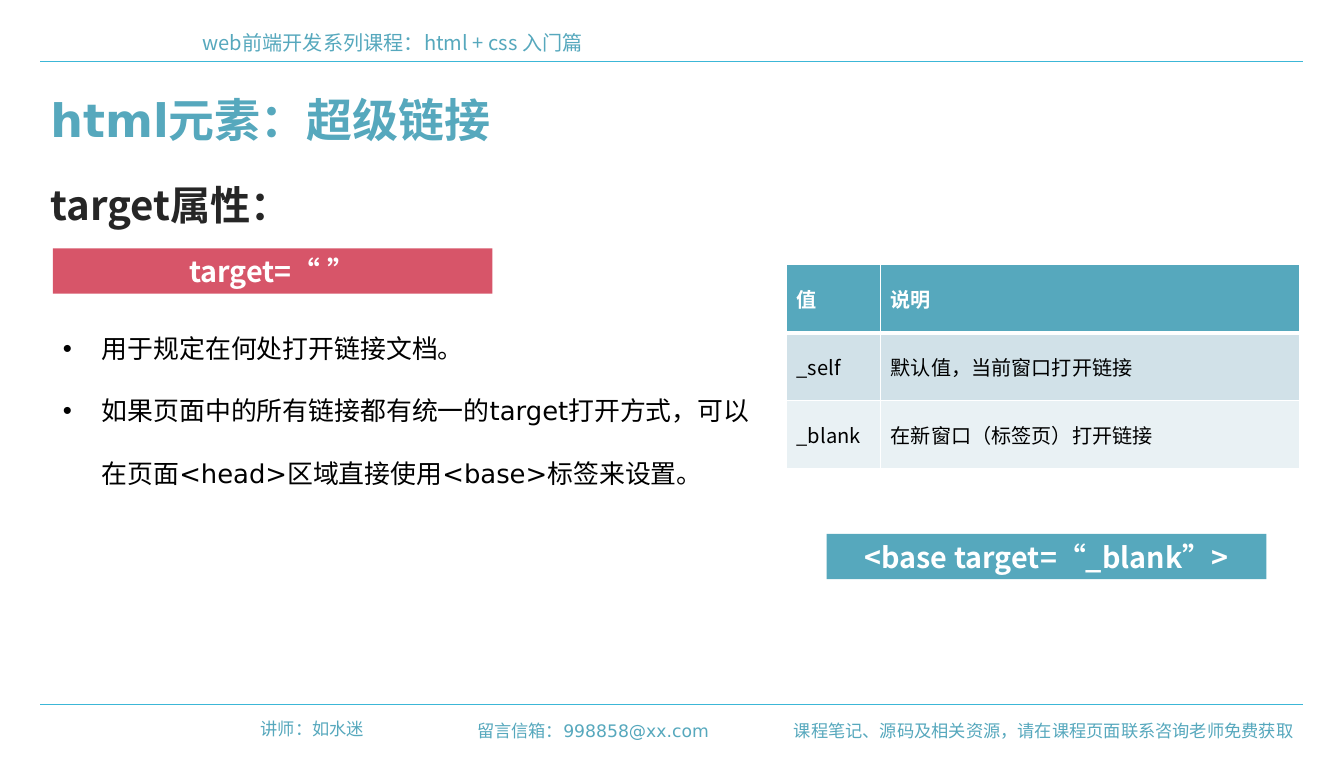
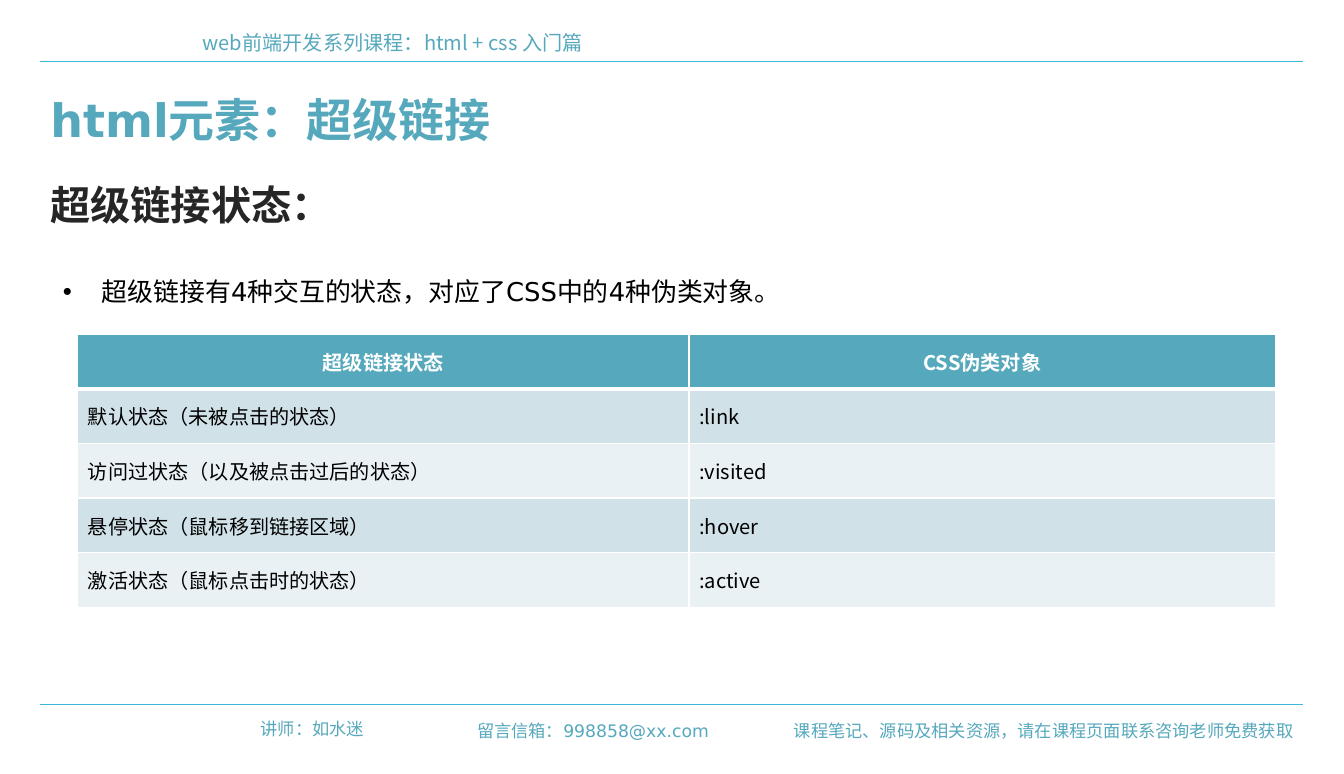
from dataclasses import dataclass
from typing import Optional

from lxml import etree
from pptx import Presentation
from pptx.dml.color import RGBColor
from pptx.enum import shapes, text
from pptx.oxml import ns
from pptx.util import Pt

TEAL = RGBColor(0x56, 0xA8, 0xBD)
RULE = RGBColor(0x3C, 0xB7, 0xD7)
RED = RGBColor(0xD7, 0x55, 0x69)
INK = RGBColor(0x26, 0x26, 0x26)
BLACK = RGBColor(0, 0, 0)
WHITE = RGBColor(0xFF, 0xFF, 0xFF)
STRIPES = (RGBColor(0xD1, 0xE1, 0xE8), RGBColor(0xE9, 0xF1, 0xF4))
NOTO, DEJAVU = "Noto Sans CJK SC", "DejaVu Sans"
LEFT, CENTER, RIGHT = (text.PP_ALIGN.LEFT, text.PP_ALIGN.CENTER,
                       text.PP_ALIGN.RIGHT)
RULE_LEFT, RULE_RIGHT, RULE_TOPS = 28, 907, (42.5, 490.5)
BULLET_INDENT = 27


@dataclass(frozen=True)
class Style:
    """Character and alignment format of a text."""
    size: float
    color: RGBColor
    name: str = NOTO
    bold: bool = False
    align: text.PP_ALIGN = LEFT


@dataclass(frozen=True)
class Label:
    """A single-line text with its box; a fill makes it a band."""
    words: str
    left: float
    top: float
    width: float
    height: float
    style: Style
    fill: Optional[RGBColor] = None


@dataclass(frozen=True)
class Grid:
    """A table with a header row and striped body rows."""
    left: float
    top: float
    col_widths: tuple
    row_height: float
    rows: tuple
    head_align: text.PP_ALIGN = LEFT


HEADING = Style(28, INK, bold=True)
BAND = Style(20, WHITE, bold=True, align=CENTER)
FOOTER = Style(12, TEAL, DEJAVU, align=RIGHT)
BODY = Style(18, BLACK, DEJAVU)
CELL = Style(14, BLACK)

FRAME = (
    Label("web前端开发系列课程：html + css 入门篇", 134, 17, 757, 24.5,
          Style(14, TEAL)),
    Label("讲师：如水迷", 161, 496, 99.5, 21.6, FOOTER),
    Label("课程笔记、源码及相关资源，请在课程页面联系咨询老师免费获取",
          541.5, 497.5, 366, 21.6, FOOTER),
    Label("留言信箱：998858@xx.com", 309, 497.5, 191.5, 21.6, FOOTER),
    Label("html元素：超级链接", 28, 60, 878.5, 46,
          Style(32, TEAL, DEJAVU, bold=True)),
)


def write(p, words: str, style: Style) -> None:
    """Put one formatted run into a paragraph."""
    p.alignment = style.align
    r = p.add_run()
    r.text = words
    values = {"size": Pt(style.size), "name": style.name, "bold": style.bold}
    for key, value in values.items():
        setattr(r.font, key, value)
    r.font.color.rgb = style.color
    rpr = r.font._element
    rpr.set("lang", "zh-CN")
    etree.SubElement(rpr, ns.qn("a:ea")).set("typeface", NOTO)


def add_label(s, label: Label) -> None:
    """Draw a text box, or a filled band with text."""
    box = [Pt(v) for v in (label.left, label.top, label.width, label.height)]
    if label.fill is None:
        sp = s.shapes.add_textbox(*box)
    else:
        sp = s.shapes.add_shape(shapes.MSO_SHAPE.RECTANGLE, *box)
        sp.shadow.inherit = False
        sp.fill.solid()
        sp.fill.fore_color.rgb = label.fill
        sp.line.fill.background()
    tf = sp.text_frame
    tf.word_wrap = True
    tf.vertical_anchor = text.MSO_ANCHOR.MIDDLE
    write(tf.paragraphs[0], label.words, label.style)


def add_rule(s, top: float) -> None:
    """Draw a thin line across the slide."""
    line = s.shapes.add_connector(shapes.MSO_CONNECTOR.STRAIGHT, Pt(RULE_LEFT),
                                  Pt(top), Pt(RULE_RIGHT), Pt(top))
    line.line.color.rgb = RULE
    line.line.width = Pt(0.75)
    etree.SubElement(line._element.spPr, ns.qn("a:effectLst"))


def add_bullets(s, left: float, top: float, width: float, height: float,
                items: tuple) -> None:
    """Draw a double-spaced bullet list."""
    tf = s.shapes.add_textbox(Pt(left), Pt(top), Pt(width), Pt(height)).text_frame
    tf.word_wrap = True
    for i, words in enumerate(items):
        p = tf.add_paragraph() if i else tf.paragraphs[0]
        write(p, words, BODY)
        p.line_spacing = 2.0
        ppr = p._p.get_or_add_pPr()
        ppr.set("marL", str(Pt(BULLET_INDENT)))
        ppr.set("indent", str(-Pt(BULLET_INDENT)))
        etree.SubElement(ppr, ns.qn("a:buFont")).set("typeface", "Arial")
        etree.SubElement(ppr, ns.qn("a:buChar")).set("char", "•")


def set_borders(cell, widths: dict) -> None:
    """Give a cell white borders ahead of its fill."""
    tcpr = cell._tc.get_or_add_tcPr()
    for i, (side, width) in enumerate(widths.items()):
        ln = etree.Element(ns.qn(f"a:{side}"), w=str(Pt(width)))
        fill = etree.SubElement(ln, ns.qn("a:solidFill"))
        etree.SubElement(fill, ns.qn("a:srgbClr")).set("val", str(WHITE))
        tcpr.insert(i, ln)


def add_grid(s, grid: Grid) -> None:
    """Draw a table with a teal header and striped rows."""
    count = len(grid.rows)
    table = s.shapes.add_table(
        count, len(grid.col_widths), Pt(grid.left), Pt(grid.top),
        Pt(sum(grid.col_widths)), Pt(grid.row_height * count)).table
    for column, width in zip(table.columns, grid.col_widths):
        column.width = Pt(width)
    head = Style(14, WHITE, bold=True, align=grid.head_align)
    for i, row in enumerate(grid.rows):
        table.rows[i].height = Pt(grid.row_height)
        for j, words in enumerate(row):
            cell = table.cell(i, j)
            cell.vertical_anchor = text.MSO_ANCHOR.MIDDLE
            cell.fill.solid()
            cell.fill.fore_color.rgb = STRIPES[(i - 1) % 2] if i else TEAL
            write(cell.text_frame.paragraphs[0], words, CELL if i else head)
            set_borders(cell, {"lnL": 1, "lnR": 1, "lnT": 3 if i == 1 else 1,
                               "lnB": 1 if i else 3})


def add_page(prs, heading: str):
    """Start a slide with the shared frame and its heading."""
    s = prs.slides.add_slide(prs.slide_layouts[6])
    for top in RULE_TOPS:
        add_rule(s, top)
    for label in FRAME + (Label(heading, 28, 121.7, 479, 41, HEADING),):
        add_label(s, label)
    return s


def build_target(prs) -> None:
    """Slide on the target attribute."""
    s = add_page(prs, "target属性：")
    add_bullets(s, 36.7, 206.6, 499, 181.5, (
        "用于规定在何处打开链接文档。",
        "如果页面中的所有链接都有统一的target打开方式，"
        "可以在页面<head>区域直接使用<base>标签来设置。"))
    add_label(s, Label("target=“ ”", 36.7, 172.8, 306, 31.5, BAND, RED))
    add_grid(s, Grid(547.2, 184.3, (65.5, 291.6), 47.3, (
        ("值", "说明"),
        ("_self", "默认值，当前窗口打开链接"),
        ("_blank", "在新窗口（标签页）打开链接"))))
    add_label(s, Label("<base target=“_blank”>", 575.3, 371.5, 306, 31.5,
                       BAND, TEAL))


def build_states(prs) -> None:
    """Slide on the link states."""
    s = add_page(prs, "超级链接状态：")
    add_bullets(s, 36.7, 167, 680.4, 87,
                ("超级链接有4种交互的状态，对应了CSS中的4种伪类对象。",))
    add_grid(s, Grid(54, 232.6, (425.5, 408.2), 38, (
        ("超级链接状态", "CSS伪类对象"),
        ("默认状态（未被点击的状态）", ":link"),
        ("访问过状态（以及被点击过后的状态）", ":visited"),
        ("悬停状态（鼠标移到链接区域）", ":hover"),
        ("激活状态（鼠标点击时的状态）", ":active")), CENTER))


def main() -> None:
    """Build and save the presentation."""
    prs = Presentation()
    prs.slide_width, prs.slide_height = Pt(935.3), Pt(538.6)
    build_target(prs)
    build_states(prs)
    prs.save("out.pptx")


main()
